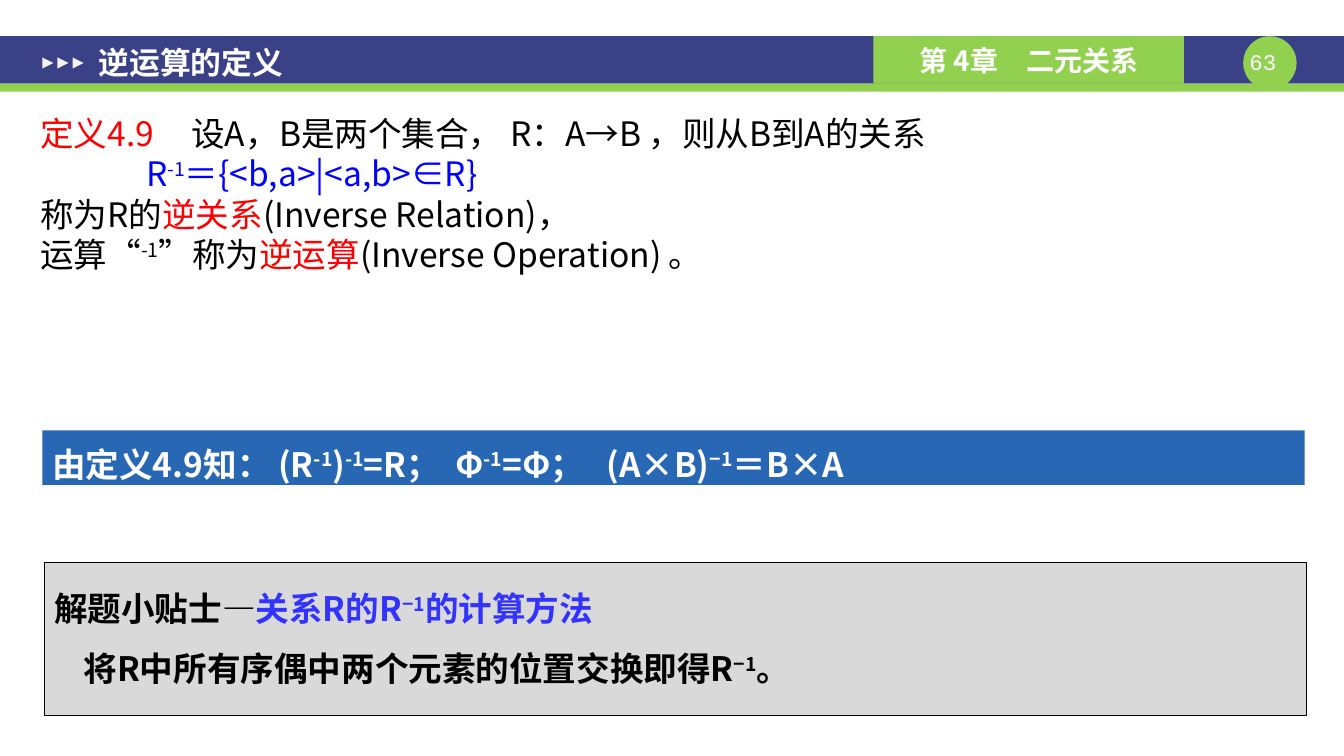
from dataclasses import dataclass

from lxml import etree
from pptx import Presentation
from pptx.dml.color import RGBColor
from pptx.enum.shapes import MSO_SHAPE
from pptx.enum.text import MSO_ANCHOR, PP_ALIGN
from pptx.oxml.ns import qn
from pptx.util import Inches, Pt

RECTANGLE, OVAL, TRIANGLE = MSO_SHAPE.RECTANGLE, MSO_SHAPE.OVAL, MSO_SHAPE.ISOSCELES_TRIANGLE
TOP, MIDDLE = MSO_ANCHOR.TOP, MSO_ANCHOR.MIDDLE
LEFT, CENTER, JUSTIFY = PP_ALIGN.LEFT, PP_ALIGN.CENTER, PP_ALIGN.JUSTIFY


@dataclass(frozen=True)
class Theme:
    font: str = "Noto Sans CJK SC"
    number_font: str = "Courier New"
    body_size: int = 24
    title_size: int = 22
    chapter_size: int = 20
    number_size: int = 16
    navy: str = "3A4187"
    green: str = "92D050"
    marker: str = "F2F2F2"
    bar: str = "1157AB"
    panel: str = "D9D9D9"
    white: str = "FFFFFF"
    black: str = "000000"
    red: str = "FF0000"
    blue: str = "0000FF"
    tip_blue: str = "3333FF"


THEME = Theme()

# Each line: (indent, tab stops, runs); each run: (text, colour); ^…^ marks a superscript.
TITLE = "逆运算的定义"
CHAPTER = "第 4章　二元关系"
NUMBER = "63"
DEFINITION = [
    (0, [1.52], [("定义4.9\t", THEME.red), ("设A，B是两个集合， R：A→B ，则从B到A的关系", THEME.black)]),
    (1.05, [], [("R^-1^＝{<b,a>|<a,b>∈R}", THEME.blue)]),
    (0, [], [("称为R的", THEME.black), ("逆关系", THEME.red), ("(Inverse Relation)，", THEME.black)]),
    (0, [], [("运算“^-1^”称为", THEME.black), ("逆运算", THEME.red),
             ("(Inverse Operation) 。", THEME.black)]),
]
CONSEQUENCES = [
    (0, [4.78, 6.53], [("由定义4.9知： (R^-1^)^-1^=R；\tΦ^-1^=Φ；\t(A×B)^−1^＝B×A", THEME.white)]),
]
TIP = [
    (0, [], [("解题小贴士—", THEME.black), ("关系R的R^−1^的计算方法", THEME.tip_blue)]),
    (0.29, [], [("将R中所有序偶中两个元素的位置交换即得R^−1^。", THEME.black)]),
]


def colour(value):
    return RGBColor.from_string(value)


def add_box(slide, kind, box, fill, line=None):
    shape = slide.shapes.add_shape(kind, *map(Inches, box))
    shape.shadow.inherit = False
    shape.fill.solid()
    shape.fill.fore_color.rgb = colour(fill)
    if line:
        shape.line.color.rgb = colour(line)
        shape.line.width = Pt(0.75)
    else:
        shape.line.fill.background()
    return shape


def set_opacity(shape, percent):
    fill_colour = shape.fill._xPr.find(qn("a:solidFill"))[0]
    etree.SubElement(fill_colour, qn("a:alpha"), val=str(percent * 1000))


def set_frame(frame, margins, anchor):
    frame.word_wrap = True
    frame.vertical_anchor = anchor
    frame.margin_left = frame.margin_right = Inches(margins[0])
    frame.margin_top = frame.margin_bottom = Inches(margins[1])


def set_font(paragraph, size, bold, name=THEME.font):
    font = paragraph.font
    font.name, font.size, font.bold = name, Pt(size), bold


def write_label(frame, text, size, align, bold=True, name=THEME.font):
    paragraph = frame.paragraphs[0]
    paragraph.text = text
    paragraph.alignment = align
    set_font(paragraph, size, bold, name)
    paragraph.font.color.rgb = colour(THEME.white)
    set_east_asian(paragraph, name)


def set_east_asian(paragraph, name):
    for run in paragraph.runs:
        properties = run._r.get_or_add_rPr()
        etree.SubElement(properties, qn("a:ea"), typeface=name)


def write_lines(frame, lines, spacing, align, bold):
    for index, (indent, tabs, runs) in enumerate(lines):
        paragraph = frame.add_paragraph() if index else frame.paragraphs[0]
        paragraph.alignment = align
        paragraph.line_spacing = spacing
        paragraph.space_before = Pt(0)
        properties = paragraph._p.get_or_add_pPr()
        properties.set("marL", str(Inches(indent)))
        properties.set("indent", "0")
        etree.SubElement(properties, qn("a:buNone"))
        if tabs:
            tab_list = etree.SubElement(properties, qn("a:tabLst"))
            for tab in tabs:
                etree.SubElement(tab_list, qn("a:tab"), pos=str(Inches(tab)), algn="l")
        set_font(paragraph, THEME.body_size, bold)
        for text, run_colour in runs:
            for part, piece in enumerate(text.split("^")):
                if not piece:
                    continue
                run = paragraph.add_run()
                run.text = piece
                run.font.color.rgb = colour(run_colour)
                if part % 2:
                    run.font._rPr.set("baseline", "30000")
        set_east_asian(paragraph, THEME.font)


def add_header(slide):
    add_box(slide, RECTANGLE, (0, 0.36, 13.34, 0.47), THEME.navy)
    add_box(slide, RECTANGLE, (0, 0.83, 13.34, 0.08), THEME.green)
    add_box(slide, OVAL, (12.34, 0.36, 0.53, 0.53), THEME.green)

    number = slide.shapes.add_textbox(*map(Inches, (12.27, 0.48, 0.53, 0.27)))
    set_frame(number.text_frame, (0, 0), TOP)
    write_label(number.text_frame, NUMBER, THEME.number_size, CENTER, False, THEME.number_font)

    chapter = add_box(slide, RECTANGLE, (8.67, 0.36, 3.08, 0.47), THEME.green)
    set_frame(chapter.text_frame, (0.1, 0.05), MIDDLE)
    write_label(chapter.text_frame, CHAPTER, THEME.chapter_size, CENTER)

    for index in range(3):
        marker = add_box(slide, TRIANGLE, (0.42 + 0.15 * index, 0.57, 0.11, 0.11), THEME.marker)
        marker.rotation = 90

    title = slide.shapes.title
    title.left, title.top, title.width, title.height = map(Inches, (0.85, 0.4, 5.8, 0.44))
    set_frame(title.text_frame, (0.13, 0.07), MIDDLE)
    write_label(title.text_frame, TITLE, THEME.title_size, LEFT)
    # Bring the title in front of the header band.
    slide.shapes._spTree.append(title._element)


def add_content(slide):
    definition = slide.shapes.add_textbox(*map(Inches, (0.4, 1.12, 12.27, 3.1)))
    set_frame(definition.text_frame, (0, 0), TOP)
    write_lines(definition.text_frame, DEFINITION, Pt(28.8), LEFT, False)

    bar = add_box(slide, RECTANGLE, (0.42, 4.27, 12.53, 0.54), THEME.bar)
    set_opacity(bar, 90)
    set_frame(bar.text_frame, (0.1, 0.05), TOP)
    write_lines(bar.text_frame, CONSEQUENCES, 1.2, LEFT, True)

    panel = add_box(slide, RECTANGLE, (0.44, 5.58, 12.53, 1.52), THEME.panel, THEME.black)
    set_frame(panel.text_frame, (0.1, 0.05), TOP)
    write_lines(panel.text_frame, TIP, 1.5, JUSTIFY, True)


def main():
    presentation = Presentation()
    presentation.slide_width, presentation.slide_height = Inches(13.34), Inches(7.5)
    slide = presentation.slides.add_slide(presentation.slide_layouts[5])
    add_header(slide)
    add_content(slide)
    presentation.save("out.pptx")


if __name__ == "__main__":
    main()
